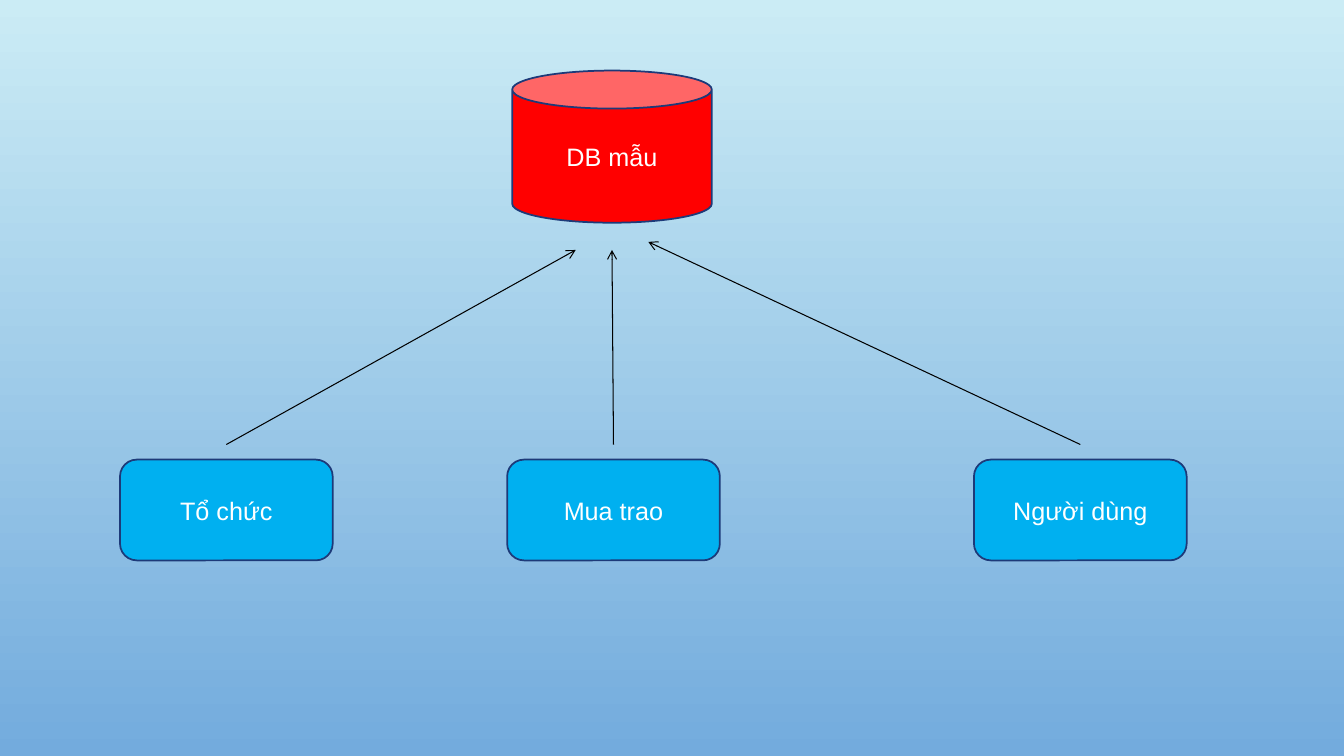
"""Three sources feeding one sample database."""
from pptx import Presentation
from pptx.dml.color import RGBColor
from pptx.enum.shapes import MSO_CONNECTOR as LINK, MSO_SHAPE as KIND
from pptx.enum.text import MSO_ANCHOR as ANCHOR, PP_ALIGN as ALIGN
from pptx.oxml.ns import qn
from pptx.util import Inches, Pt
from lxml.etree import SubElement as add_sub


def color(code):
    return RGBColor.from_string(code)


def put_text(text, kind, left, top, width, height, fill):
    shape = slide.shapes.add_shape(
        kind, Inches(left), Inches(top), Inches(width), Inches(height))
    shape.shadow.inherit = False
    shape.fill.solid()
    shape.fill.fore_color.rgb = color(fill)
    shape.line.color.rgb = color("1D3A79")
    shape.line.width = Pt(1.25)
    frame = shape.text_frame
    frame.word_wrap = True
    frame.vertical_anchor = ANCHOR.MIDDLE
    para = frame.paragraphs[0]
    para.alignment = ALIGN.CENTER
    run = para.add_run()
    run.text = text
    run.font.name = "Arial"
    run.font.size = Pt(18)
    run.font.color.rgb = color("FFFFFF")


deck = Presentation()
deck.slide_width, deck.slide_height = Inches(13.33), Inches(7.5)
slide = deck.slides.add_slide(deck.slide_layouts[6])

back = slide.background.fill
back.gradient()
back.gradient_angle = 270
for stop, code in zip(back.gradient_stops, ("CBECF5", "73ABDD")):
    stop.color.rgb = color(code)

put_text("DB mẫu", kind=KIND.CAN, left=5.08, top=0.7,
         width=1.98, height=1.51, fill="FF0000")

wide = 2.11
nodes = [
    ("Tổ chức", 1.19, 5.71, 2.48),
    ("Mua trao", 5.03, 6.07, 2.48),
    ("Người dùng", 9.66, 6.43, 2.4),
]
for name, left, tip_x, tip_y in nodes:
    put_text(name, kind=KIND.FLOWCHART_ALTERNATE_PROCESS, left=left, top=4.56,
             width=wide, height=1, fill="00B0F0")
    arrow = slide.shapes.add_connector(
        LINK.STRAIGHT, Inches(left + wide / 2), Inches(4.41),
        Inches(tip_x), Inches(tip_y))
    arrow.line.color.rgb = color("000000")
    arrow.line.width = Pt(0.75)
    add_sub(arrow.line._get_or_add_ln(), qn("a:tailEnd"), type="arrow")
    add_sub(arrow._element.spPr, qn("a:effectLst"))

deck.save("out.pptx")
